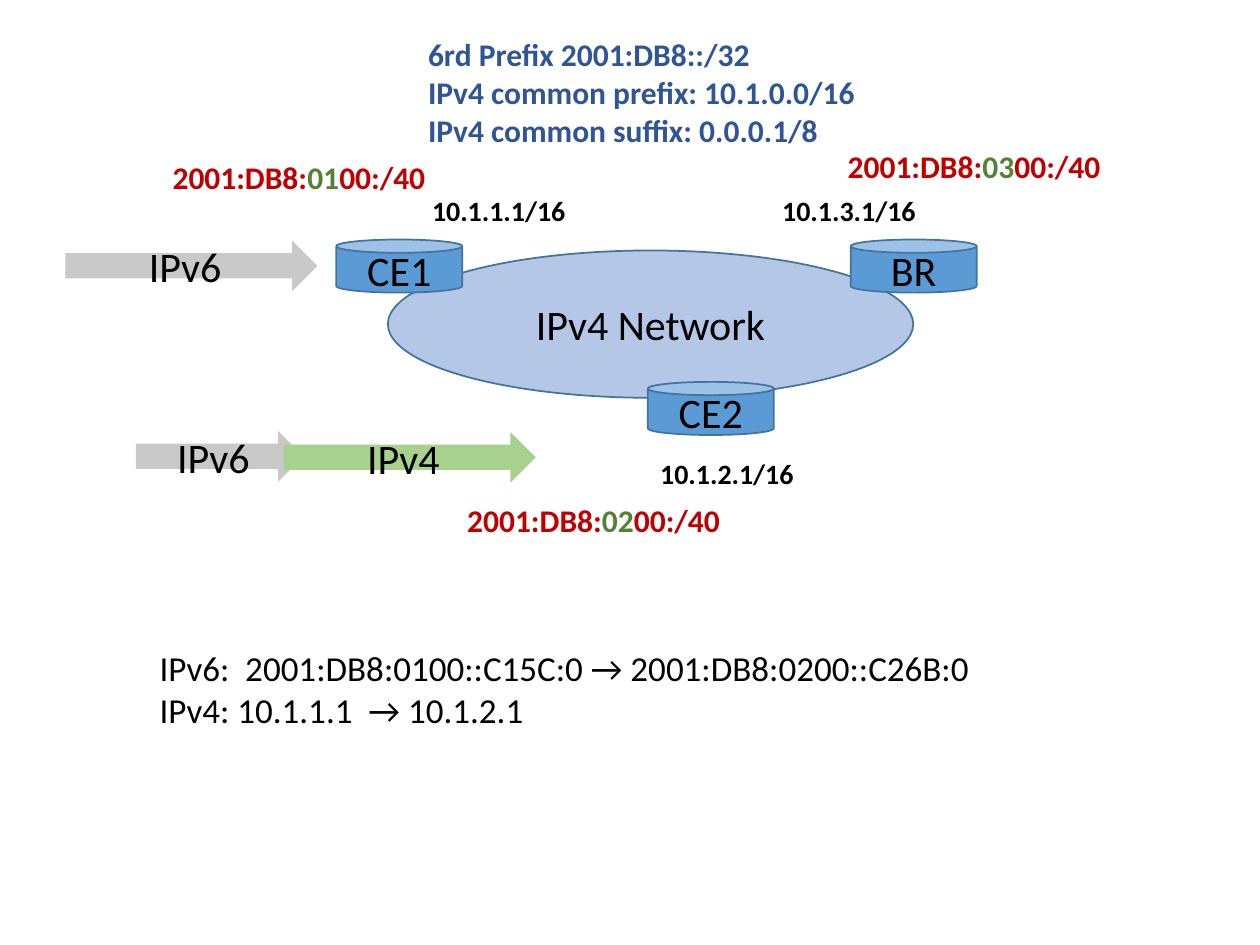
from pptx import Presentation
from pptx.dml.color import RGBColor
from pptx.enum.shapes import MSO_SHAPE
from pptx.enum.text import MSO_ANCHOR, PP_ALIGN
from pptx.util import Cm, Pt

ELLIPSE, CAN, ARROW = MSO_SHAPE.OVAL, MSO_SHAPE.CAN, MSO_SHAPE.RIGHT_ARROW
MIDDLE, CENTER = MSO_ANCHOR.MIDDLE, PP_ALIGN.CENTER
FONT = "Calibri"
COLORS = {
    "black": "000000", "network": "B4C7E7", "router": "5B9BD5",
    "outline": "43739E", "ipv6": "C9C9C9", "ipv4": "A9D18E",
    "domain": "2F5597", "prefix": "C00000", "embedded": "548235",
}

prs = Presentation()
prs.slide_width, prs.slide_height = Cm(25.4), Cm(19.05)
s = prs.slides.add_slide(prs.slide_layouts[6])


def add_node(kind, box, text, fill, line=None):
    sp = s.shapes.add_shape(kind, *map(Cm, box))
    sp.shadow.inherit = False
    sp.fill.solid()
    sp.fill.fore_color.rgb = RGBColor.from_string(COLORS[fill])
    if line:
        sp.line.color.rgb = RGBColor.from_string(COLORS[line])
        sp.line.width = Pt(1)
    else:
        sp.line.fill.background()
    tf = sp.text_frame
    tf.vertical_anchor = MIDDLE
    p = tf.paragraphs[0]
    p.text = text
    p.alignment = CENTER
    p.font.name, p.font.size = FONT, Pt(24)
    p.font.color.rgb = RGBColor.from_string(COLORS["black"])


def add_label(box, lines, size, color, bold=True, wrap=False):
    """Each line is a list of (text, colour or None) runs."""
    tf = s.shapes.add_textbox(*map(Cm, box)).text_frame
    tf.word_wrap = wrap
    for i, runs in enumerate(lines):
        p = tf.add_paragraph() if i else tf.paragraphs[0]
        p.font.name, p.font.size, p.font.bold = FONT, Pt(size), bold
        for text, own_color in runs:
            r = p.add_run()
            r.text = text
            r.font.color.rgb = RGBColor.from_string(COLORS[own_color or color])


# Network cloud and its routers
add_node(ELLIPSE, (7.82, 5.05, 10.59, 2.97), "IPv4 Network", "network", "outline")
for name, left, top in [("CE1", 6.78, 4.83), ("CE2", 13.06, 7.7), ("BR", 17.15, 4.83)]:
    add_node(CAN, (left, top, 2.54, 1.07), name, "router", "outline")

# Router addresses
for address, left, top in [("10.1.1.1/16", 8.46, 3.78), ("10.1.2.1/16", 13.06, 9.07),
                           ("10.1.3.1/16", 15.52, 3.78)]:
    add_label((left, top, 3.23, 0.94), [[(address, None)]], 16, "black")

# Domain parameters
domain = ["6rd Prefix 2001:DB8::/32", "IPv4 common prefix: 10.1.0.0/16",
          "IPv4 common suffix: 0.0.0.1/8"]
add_label((8.38, 0.58, 9.19, 2.57), [[(line, None)] for line in domain], 18, "domain")

# Delegated prefixes, with the embedded IPv4 bits picked out
for bits, left, top in [("01", 3.23, 3.07), ("02", 9.17, 9.98), ("03", 16.84, 2.84)]:
    runs = [("2001:DB8:", None), (bits, "embedded"), ("00:/40", None)]
    add_label((left, top, 5.66, 1.02), [runs], 18, "prefix")

# Source and destination addresses
flows = ["IPv6:  2001:DB8:0100::C15C:0 → 2001:DB8:0200::C26B:0",
         "IPv4: 10.1.1.1  → 10.1.2.1"]
add_label((2.97, 12.9, 20.52, 2.82), [[(line, None)] for line in flows], 20, "black",
          bold=False, wrap=True)

# Packets: plain IPv6, then IPv6 encapsulated in IPv4
for text, left, top, width, fill in [("IPv6", 1.32, 4.85, 5.08, "ipv6"),
                                     ("IPv6", 2.74, 8.69, 3.38, "ipv6"),
                                     ("IPv4", 5.72, 8.71, 5.08, "ipv4")]:
    add_node(ARROW, (left, top, width, 1.02), text, fill)

prs.save("out.pptx")
